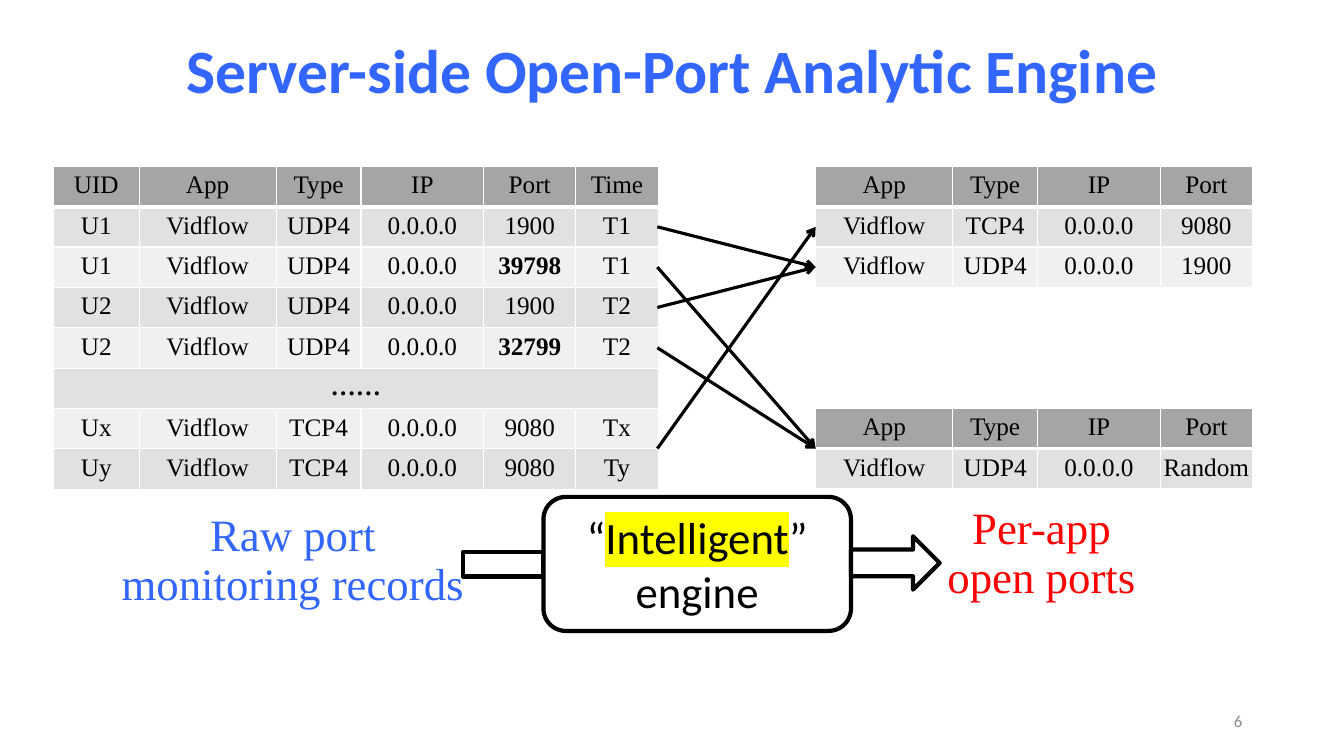
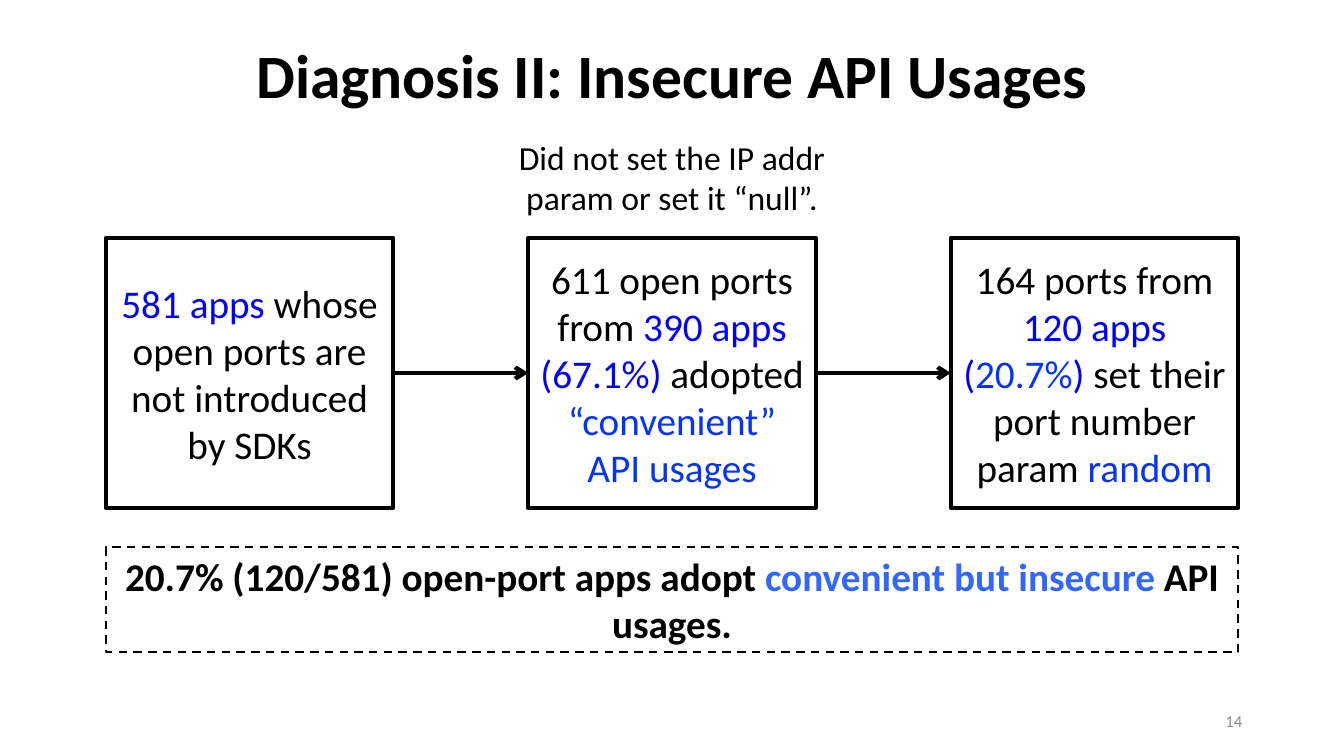
from dataclasses import dataclass
from typing import NamedTuple, Optional

from lxml import etree
from pptx import Presentation
from pptx.dml.color import RGBColor
from pptx.enum import dml, shapes, text
from pptx.oxml import ns
from pptx.util import Inches, Pt

BLACK = RGBColor(0x00, 0x00, 0x00)
WHITE = RGBColor(0xFF, 0xFF, 0xFF)
GREY = RGBColor(0x8C, 0x8C, 0x8C)
RED = RGBColor(0xFF, 0x00, 0x00)
TITLE_BLUE = RGBColor(0x33, 0x66, 0xFF)
COUNT_BLUE = RGBColor(0x00, 0x00, 0xFF)
TERM_BLUE = RGBColor(0x04, 0x32, 0xFF)
YELLOW = RGBColor(0xFF, 0xFF, 0x00)
HEADER_FILL = RGBColor(0xA5, 0xA5, 0xA5)
BAND_FILLS = (RGBColor(0xF0, 0xF0, 0xF0), RGBColor(0xE1, 0xE1, 0xE1))

SANS, SERIF = "Calibri", "Times New Roman"
TABLE_TOP, ROW_H = 1.65, 0.4
MIDDLE, TOP = text.MSO_ANCHOR.MIDDLE, text.MSO_ANCHOR.TOP
CENTER, RIGHT = text.PP_ALIGN.CENTER, text.PP_ALIGN.RIGHT
SHAPE = shapes.MSO_SHAPE


class Box(NamedTuple):
    left: float
    top: float
    width: float
    height: float

    def emu(self) -> list:
        return [Inches(v) for v in self]


class Run(NamedTuple):
    text: str
    color: RGBColor = BLACK
    highlight: Optional[RGBColor] = None


@dataclass
class Style:
    size: float
    font: str = SANS
    bold: bool = False
    align: text.PP_ALIGN = CENTER
    spacing: Optional[float] = None


@dataclass
class Grid:
    box: Box
    widths: list
    rows: list  # space-separated cells; * marks bold
    tight_last: bool = False  # no side margins in the last column


TITLE = Style(44, bold=True, spacing=0.9)
PAGE_NUMBER = Style(12, align=RIGHT)
CELL = Style(18, SERIF)
CAPTION = Style(32, SERIF, spacing=0.9)
BODY = Style(28)


def write(tf, paragraphs: list, style: Style, anchor=MIDDLE) -> None:
    """Fill a text frame with paragraphs, each a list of runs."""
    tf.word_wrap = True
    tf.vertical_anchor = anchor
    for i, runs in enumerate(paragraphs):
        p = tf.paragraphs[0] if i == 0 else tf.add_paragraph()
        p.alignment = style.align
        if style.spacing:
            p.line_spacing = style.spacing
        p.font.size, p.font.name, p.font.bold = Pt(style.size), style.font, style.bold
        for run in runs:
            r = p.add_run()
            r.text = run.text
            r.font.color.rgb = run.color
            if run.highlight is not None:
                mark = etree.SubElement(r.font._element, ns.qn("a:highlight"))
                etree.SubElement(mark, ns.qn("a:srgbClr"), val=str(run.highlight))


def add_text(s, box: Box, runs: list, style: Style, anchor=TOP) -> None:
    write(s.shapes.add_textbox(*box.emu()).text_frame, [runs], style, anchor)


def add_box(s, kind, box: Box, paragraphs=(), style=BODY, width=3.0, dashed=False) -> None:
    sp = s.shapes.add_shape(kind, *box.emu())
    sp.shadow.inherit = False
    sp.line.color.rgb, sp.line.width = BLACK, Pt(width)
    if dashed:
        sp.fill.background()
        sp.line.dash_style = dml.MSO_LINE.DASH
    else:
        sp.fill.solid()
        sp.fill.fore_color.rgb = WHITE
    write(sp.text_frame, paragraphs, style)


def add_arrow(s, x1: float, y1: float, x2: float, y2: float, width: float) -> None:
    cx = s.shapes.add_connector(shapes.MSO_CONNECTOR.STRAIGHT,
                                Inches(x1), Inches(y1), Inches(x2), Inches(y2))
    cx.line.color.rgb, cx.line.width = BLACK, Pt(width)
    etree.SubElement(cx.line._get_or_add_ln(), ns.qn("a:tailEnd"), type="arrow")
    etree.SubElement(cx._element.spPr, ns.qn("a:effectLst"))


def set_borders(cell, bottom: float) -> None:
    tcPr = cell._tc.get_or_add_tcPr()
    for i, side in enumerate("LRTB"):
        width = Pt(bottom if side == "B" else 1)
        ln = etree.Element(ns.qn("a:ln" + side), w=str(width))
        fill = etree.SubElement(ln, ns.qn("a:solidFill"))
        etree.SubElement(fill, ns.qn("a:srgbClr"), val=str(WHITE))
        tcPr.insert(i, ln)


def add_grid(s, grid: Grid) -> None:
    tbl = s.shapes.add_table(len(grid.rows), len(grid.widths), *grid.box.emu()).table
    tbl.first_row = tbl.horz_banding = False
    for col, width in zip(tbl.columns, grid.widths):
        col.width = Inches(width)
    for i, row in enumerate(grid.rows):
        tbl.rows[i].height = Inches(ROW_H)
        values = row.split()
        for j in range(len(grid.widths)):
            cell = tbl.cell(i, j)
            cell.fill.solid()
            cell.fill.fore_color.rgb = BAND_FILLS[i % 2] if i else HEADER_FILL
            set_borders(cell, 1 if i else 3)
            if grid.tight_last and i and j == len(grid.widths) - 1:
                cell.margin_left = cell.margin_right = 0
            if j < len(values):
                style = Style(18, SERIF, bold=True) if values[j].startswith("*") else CELL
                write(cell.text_frame, [[Run(values[j].lstrip("*"))]], style, TOP)
        if len(values) == 1:
            tbl.cell(i, 0).merge(tbl.cell(i, len(grid.widths) - 1))


def new_slide(prs, title: str, number: int, color: RGBColor, top: float, anchor):
    s = prs.slides.add_slide(prs.slide_layouts[5])
    sp = s.shapes.title
    sp.left, sp.top, sp.width, sp.height = Box(0.92, top, 11.5, 1.45).emu()
    write(sp.text_frame, [[Run(title, color)]], TITLE, anchor)
    sp.text_frame.auto_size = text.MSO_AUTO_SIZE.NONE
    add_text(s, Box(9.42, 6.95, 3, 0.4), [Run(str(number), GREY)], PAGE_NUMBER, MIDDLE)
    return s


def row_mid(row: float) -> float:
    return TABLE_TOP + ROW_H * (row + 0.5)


def engine_slide(prs) -> None:
    s = new_slide(prs, "Server-side Open-Port Analytic Engine", 6, TITLE_BLUE, 0, MIDDLE)
    add_box(s, SHAPE.RECTANGLE, Box(4.59, 5.48, 0.8, 0.24))

    # Raw records on the left, the two results on the right
    widths = [1.36, 0.84, 1.22, 0.91]
    header = "App Type IP Port"
    records_right, results_left = 6.52, 8.09
    grids = [
        Grid(Box(0.53, TABLE_TOP, 5.99, 3.2), [0.85, *widths, 0.82], [
            f"UID {header} Time",
            "U1 Vidflow UDP4 0.0.0.0 1900 T1",
            "U1 Vidflow UDP4 0.0.0.0 *39798 T1",
            "U2 Vidflow UDP4 0.0.0.0 1900 T2",
            "U2 Vidflow UDP4 0.0.0.0 *32799 T2",
            "*……",
            "Ux Vidflow TCP4 0.0.0.0 9080 Tx",
            "Uy Vidflow TCP4 0.0.0.0 9080 Ty",
        ]),
        Grid(Box(results_left, TABLE_TOP + 6 * ROW_H, 4.33, 0.8), widths,
             [header, "Vidflow UDP4 0.0.0.0 Random"], tight_last=True),
        Grid(Box(results_left, TABLE_TOP, 4.33, 1.2), widths,
             [header, "Vidflow TCP4 0.0.0.0 9080", "Vidflow UDP4 0.0.0.0 1900"],
             tight_last=True),
    ]
    for grid in grids:
        add_grid(s, grid)

    # Pipeline below the tables
    add_text(s, Box(1.07, 5.04, 3.67, 1.16),
             [Run("Raw port monitoring records", TITLE_BLUE)], CAPTION)
    add_text(s, Box(9.21, 4.97, 2.24, 1.16), [Run("Per-app open ports", RED)], CAPTION)
    add_box(s, SHAPE.ROUNDED_RECTANGLE, Box(5.39, 4.93, 3.05, 1.33),
            [[Run("“"), Run("Intelligent", highlight=YELLOW), Run("”")], [Run("engine")]],
            Style(32))

    # Each record row leads to its result row
    for start, end in [(6.5, 1), (3, 2), (1, 2), (4, 6.5), (2, 6.5)]:
        add_arrow(s, records_right, row_mid(start), results_left, row_mid(end), 2.25)
    add_box(s, SHAPE.RIGHT_ARROW, Box(8.44, 5.32, 0.88, 0.53))


def diagnosis_slide(prs) -> None:
    s = new_slide(prs, "Diagnosis II: Insecure API Usages", 14, BLACK, 0.4, TOP)

    # Funnel of three steps
    left, top, width, height, pitch = 1.05, 2.36, 2.85, 2.68, 4.19
    steps = [
        [Run("581 apps ", COUNT_BLUE), Run("whose open ports are not introduced by SDKs")],
        [Run("611 open ports from "), Run("390 apps (67.1%) ", COUNT_BLUE),
         Run("adopted "), Run("“convenient” API usages", TERM_BLUE)],
        [Run("164 ports from "), Run("120 apps (", COUNT_BLUE), Run("20.7%", TERM_BLUE),
         Run(")", COUNT_BLUE), Run(" set their port number param"),
         Run(" random", TERM_BLUE)],
    ]
    for i, runs in enumerate(steps):
        x = left + i * pitch
        add_box(s, SHAPE.RECTANGLE, Box(x, top, width, height), [runs])
        if i:
            mid = top + height / 2
            add_arrow(s, x - pitch + width, mid, x, mid, 3)

    # Conclusion and note
    add_box(s, SHAPE.RECTANGLE, Box(left, 5.43, 2 * pitch + width, 1.04),
            [[Run("20.7% (120/581) open-port apps adopt "),
              Run("convenient but insecure", TITLE_BLUE), Run(" API usages.")]],
            Style(28, bold=True), 1.5, dashed=True)
    add_text(s, Box(5, 1.31, 3.33, 0.91),
             [Run("Did not set the IP addr param or set it “null”.")], Style(24))


def main() -> None:
    prs = Presentation()
    prs.slide_width, prs.slide_height = Inches(13.33), Inches(7.5)
    engine_slide(prs)
    diagnosis_slide(prs)
    prs.save("out.pptx")


if __name__ == "__main__":
    main()
